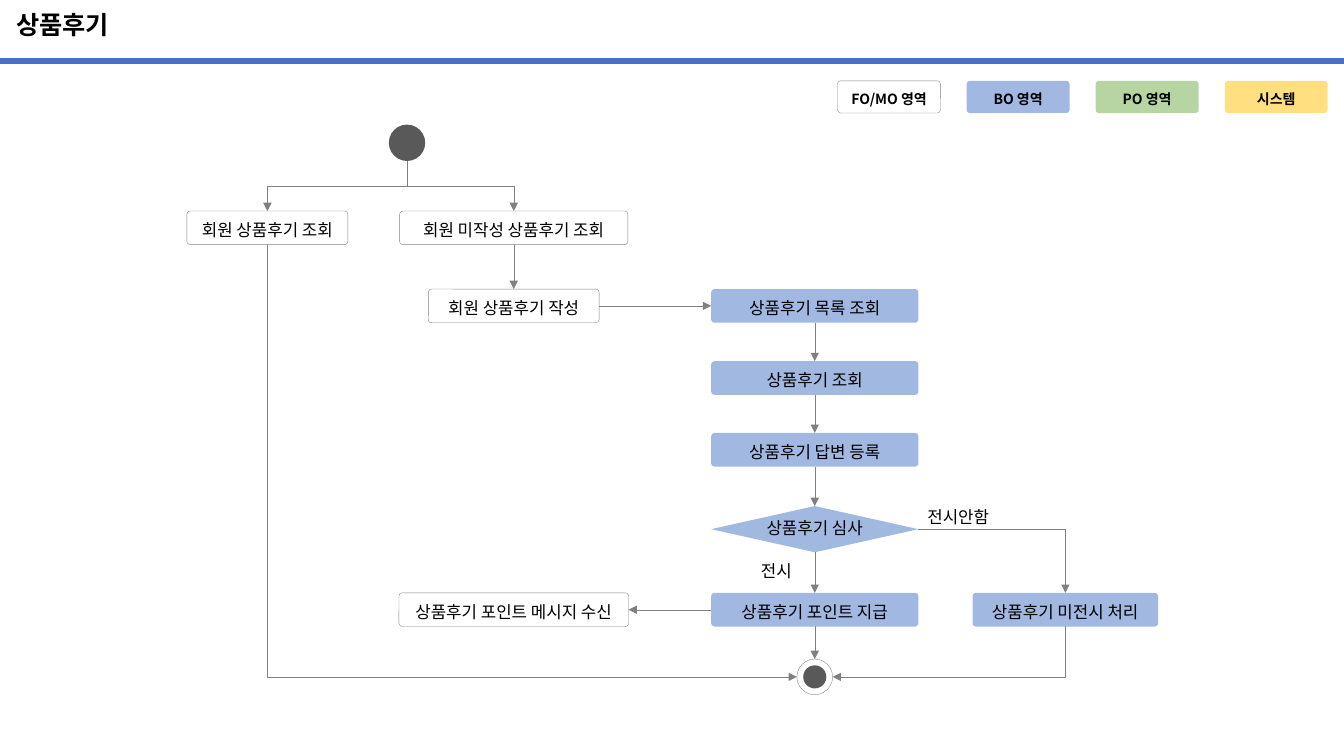
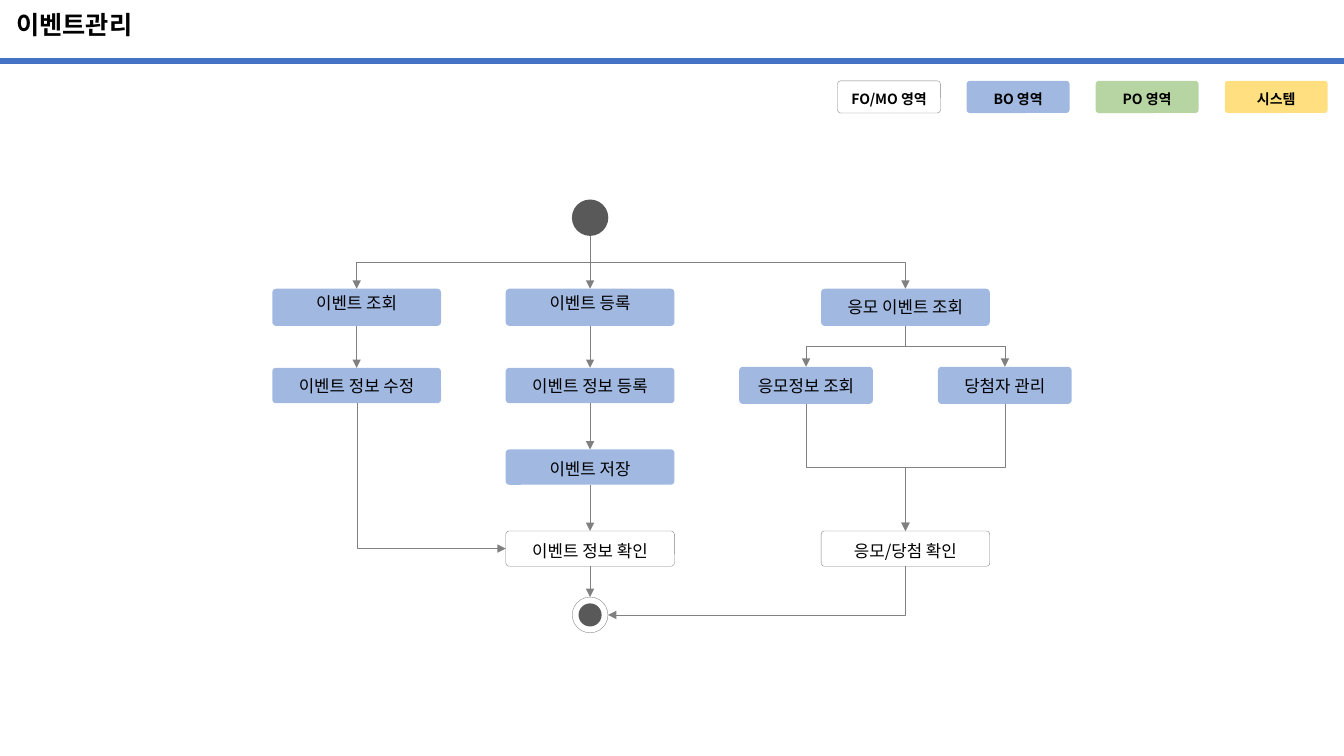
"""Build two activity-flow slides, for product reviews and for event management."""
from lxml import etree
from pptx import Presentation
from pptx.dml.color import RGBColor
from pptx.enum import shapes, text
from pptx.oxml import ns
from pptx.util import Pt

BLACK = RGBColor(0x00, 0x00, 0x00)
WHITE = RGBColor(0xFF, 0xFF, 0xFF)
GRAY = RGBColor(0x80, 0x80, 0x80)
DARK = RGBColor(0x59, 0x59, 0x59)
BLUE = RGBColor(0x44, 0x72, 0xC4)
GREEN = RGBColor(0x70, 0xAD, 0x47)
YELLOW = RGBColor(0xFF, 0xC0, 0x00)
KOREAN_FONT = "Noto Sans CJK KR"

ROUNDED = shapes.MSO_SHAPE.ROUNDED_RECTANGLE
DECISION = shapes.MSO_SHAPE.FLOWCHART_DECISION
CIRCLE = shapes.MSO_SHAPE.FLOWCHART_CONNECTOR
STRAIGHT = shapes.MSO_CONNECTOR.STRAIGHT
ELBOW = shapes.MSO_CONNECTOR.ELBOW
SIDES = ["top", "left", "bottom", "right"]


def add_box(slide, kind, center, top, width, height, color=None, words="",
            font=KOREAN_FONT, size=12, bold=False, spacing=1.2):
    """Add a shape, or a text box when kind is None, centred on a column."""
    frame = [Pt(value) for value in (center - width / 2, top, width, height)]
    if kind is None:
        shape = slide.shapes.add_textbox(*frame)
    else:
        shape = slide.shapes.add_shape(kind, *frame)
        shape.shadow.inherit = False
        shape.fill.solid()
        shape.fill.fore_color.rgb = color
        if color == WHITE:
            shape.line.color.rgb = GRAY
            shape.line.width = Pt(0.25)
        else:
            shape.line.fill.background()
        if color not in (WHITE, DARK):
            paint = shape.element.spPr.find(".//" + ns.qn("a:srgbClr"))
            etree.SubElement(paint, ns.qn("a:alpha"), val="50000")
    if kind == ROUNDED:
        shape.adjustments[0] = 0.1
    if words:
        box = shape.text_frame
        box.word_wrap = kind == ROUNDED
        box.margin_left = box.margin_right = box.margin_top = box.margin_bottom = 0
        box.vertical_anchor = text.MSO_ANCHOR.MIDDLE
        paragraph = box.paragraphs[0]
        paragraph.alignment = text.PP_ALIGN.CENTER
        paragraph.line_spacing = spacing
        paragraph.space_after = Pt(2)
        run = paragraph.add_run()
        run.text = words
        run.font.name = font
        run.font.size = Pt(size)
        run.font.bold = bold
        run.font.color.rgb = BLACK
        etree.SubElement(run.font._element, ns.qn("a:ea"), typeface=KOREAN_FONT)
    return shape


def add_link(slide, source, target, leave, enter):
    """Add an arrow glued to the named sides of two shapes."""
    ends = []
    for shape, side in ((source, leave), (target, enter)):
        across = {"left": 0, "right": 2}.get(side, 1)
        down = {"top": 0, "bottom": 2}.get(side, 1)
        ends.append((shape.left + shape.width * across // 2,
                     shape.top + shape.height * down // 2))
    (x1, y1), (x2, y2) = ends
    straight = abs(x1 - x2) < Pt(1) or abs(y1 - y2) < Pt(1)
    if straight or leave == "right":
        connector = slide.shapes.add_connector(STRAIGHT if straight else ELBOW, x1, y1, x2, y2)
    else:
        middle_x, middle_y = (x1 + x2) // 2, (y1 + y2) // 2
        half_x, half_y = abs(x2 - x1) // 2, abs(y2 - y1) // 2
        connector = slide.shapes.add_connector(
            ELBOW, middle_x - half_y, middle_y - half_x, middle_x + half_y, middle_y + half_x)
        frame = connector.element.spPr.find(ns.qn("a:xfrm"))
        frame.set("rot", "5400000" if x2 < x1 else "16200000")
        if x2 > x1:
            frame.set("flipH", "1")
    properties = connector.element.spPr
    if not straight and (leave, enter) != ("bottom", "top"):
        properties.find(ns.qn("a:prstGeom")).set("prst", "bentConnector2")
    glue = connector.element.find(".//" + ns.qn("p:cNvCxnSpPr"))
    for tag, shape, side in (("a:stCxn", source, leave), ("a:endCxn", target, enter)):
        step = 2 if shape.auto_shape_type == CIRCLE else 1
        etree.SubElement(glue, ns.qn(tag), id=str(shape.shape_id),
                         idx=str(SIDES.index(side) * step))
    connector.line.color.rgb = GRAY
    connector.line.width = Pt(0.25)
    etree.SubElement(properties.find(ns.qn("a:ln")), ns.qn("a:tailEnd"), type="triangle")
    etree.SubElement(properties, ns.qn("a:effectLst"))


REVIEW = {
    "title": "상품후기",
    "font": "Arial",
    "start": (290.75, 89),
    "end": (582, 470.75),
    "boxes": {
        "view": ("회원 상품후기 조회", 191, 150.75, 115, 24, WHITE, 1.2),
        "unwritten": ("회원 미작성 상품후기 조회", 367, 150.75, 163, 24, WHITE, 1.2),
        "write": ("회원 상품후기 작성", 367, 206.5, 122, 24, WHITE, 1.2),
        "list": ("상품후기 목록 조회", 582, 206.5, 148, 24, BLUE, 1.2),
        "read": ("상품후기 조회", 582, 258, 148, 24, BLUE, 1.2),
        "answer": ("상품후기 답변 등록", 582, 309.25, 148, 24, BLUE, 1.2),
        "judge": ("상품후기 심사", 582, 361.5, 148, 33, BLUE, 0.8),
        "points": ("상품후기 포인트 지급", 582, 423.5, 148, 24, BLUE, 1.2),
        "notice": ("상품후기 포인트 메시지 수신", 367, 423.5, 164, 24, WHITE, 1.2),
        "hide": ("상품후기 미전시 처리", 761, 423.5, 132.5, 24, BLUE, 1.2),
    },
    "labels": [("전시", 554.5, 395.5), ("전시안함", 684.5, 357)],
    "links": [
        ("start", "view", "bottom", "top"),
        ("start", "unwritten", "bottom", "top"),
        ("unwritten", "write", "bottom", "top"),
        ("write", "list", "right", "left"),
        ("list", "read", "bottom", "top"),
        ("read", "answer", "bottom", "top"),
        ("answer", "judge", "bottom", "top"),
        ("judge", "points", "bottom", "top"),
        ("judge", "hide", "right", "top"),
        ("points", "notice", "left", "right"),
        ("points", "end", "bottom", "top"),
        ("view", "end", "bottom", "left"),
        ("hide", "end", "bottom", "right"),
    ],
}
EVENT = {
    "title": "이벤트관리",
    "font": KOREAN_FONT,
    "start": (421.5, 142.5),
    "end": (421.5, 426.5),
    "boxes": {
        "search": ("이벤트 조회", 254.75, 206.25, 120.5, 26.5, BLUE, Pt(8)),
        "register": ("이벤트 등록", 421.5, 206.25, 120.5, 26.5, BLUE, Pt(8)),
        "entries": ("응모 이벤트 조회", 646.75, 206.25, 120.5, 26.5, BLUE, 1.0),
        "edit": ("이벤트 정보 수정", 254.75, 262.75, 120.5, 25.25, BLUE, 1.0),
        "details": ("이벤트 정보 등록", 421.5, 262.75, 120.5, 25.25, BLUE, 1.0),
        "applicants": ("응모정보 조회", 575.75, 262, 95.5, 26.5, BLUE, 1.0),
        "winners": ("당첨자 관리", 717.75, 262, 95.5, 26.5, BLUE, 1.0),
        "save": ("이벤트 저장", 421.5, 321, 120.5, 25.25, BLUE, 1.2),
        "confirm": ("이벤트 정보 확인", 421.5, 379.25, 120.5, 25.25, WHITE, 1.2),
        "results": ("응모/당첨 확인", 646.75, 379.25, 120.5, 25.25, WHITE, 1.2),
    },
    "labels": [],
    "links": [
        ("start", "search", "bottom", "top"),
        ("start", "register", "bottom", "top"),
        ("start", "entries", "bottom", "top"),
        ("search", "edit", "bottom", "top"),
        ("register", "details", "bottom", "top"),
        ("details", "save", "bottom", "top"),
        ("save", "confirm", "bottom", "top"),
        ("edit", "confirm", "bottom", "left"),
        ("entries", "applicants", "bottom", "top"),
        ("entries", "winners", "bottom", "top"),
        ("applicants", "results", "bottom", "top"),
        ("winners", "results", "bottom", "top"),
        ("confirm", "end", "bottom", "top"),
        ("results", "end", "bottom", "right"),
    ],
}
LEGEND = [("FO/MO 영역", WHITE), ("BO 영역", BLUE), ("PO 영역", GREEN), ("시스템", YELLOW)]

presentation = Presentation()
presentation.slide_width = Pt(960)
presentation.slide_height = Pt(540)
layout = presentation.slide_layouts.get_by_name("Title Only")
layout_title = layout.placeholders[0]
layout_title.left, layout_title.top = Pt(4.5), Pt(0)
layout_title.width, layout_title.height = Pt(951), Pt(38)
slides = [presentation.slides.add_slide(layout) for flow in (REVIEW, EVENT)]

band = slides[0].shapes.add_connector(STRAIGHT, Pt(0), Pt(43.5), Pt(960), Pt(43.5))
band.line.color.rgb = BLUE
band.line.width = Pt(4.75)
etree.SubElement(band.element.spPr, ns.qn("a:effectLst"))
shared = [band]
for column, (words, color) in enumerate(LEGEND):
    shared.append(add_box(slides[0], ROUNDED, 635 + 92.2 * column, 57.75, 73.5, 23, color,
                          words, size=10, bold=True))
for number, shape in enumerate(shared, start=100):
    shape.element.find(".//" + ns.qn("p:cNvPr")).set("id", str(number))
    layout.shapes.element.insert_element_before(shape.element, "p:extLst")

for slide, flow in zip(slides, (REVIEW, EVENT)):
    title = slide.shapes.title.text_frame
    title.auto_size = text.MSO_AUTO_SIZE.NONE
    title.vertical_anchor = text.MSO_ANCHOR.MIDDLE
    paragraph = title.paragraphs[0]
    paragraph.alignment = text.PP_ALIGN.LEFT
    paragraph.line_spacing = 0.9
    run = paragraph.add_run()
    run.text = flow["title"]
    run.font.name = KOREAN_FONT
    run.font.size = Pt(18)
    run.font.bold = True
    run.font.color.rgb = BLACK
    etree.SubElement(run.font._element, ns.qn("a:ea"), typeface=KOREAN_FONT)

    nodes = {}
    for name, (words, center, top, width, height, color, spacing) in flow["boxes"].items():
        kind = DECISION if name == "judge" else ROUNDED
        nodes[name] = add_box(slide, kind, center, top, width, height, color, words,
                              flow["font"], spacing=spacing)
    nodes["start"] = add_box(slide, CIRCLE, *flow["start"], 26, 26, DARK)
    center, top = flow["end"]
    nodes["end"] = add_box(slide, CIRCLE, center, top, 25.5, 25.5, WHITE)
    add_box(slide, CIRCLE, center, top + 4.5, 16.5, 16.5, DARK)
    for words, center, top in flow["labels"]:
        add_box(slide, None, center, top, 70, 24, words=words, font=flow["font"], spacing=1.0)
    for source, target, leave, enter in flow["links"]:
        add_link(slide, nodes[source], nodes[target], leave, enter)

presentation.save("out.pptx")
